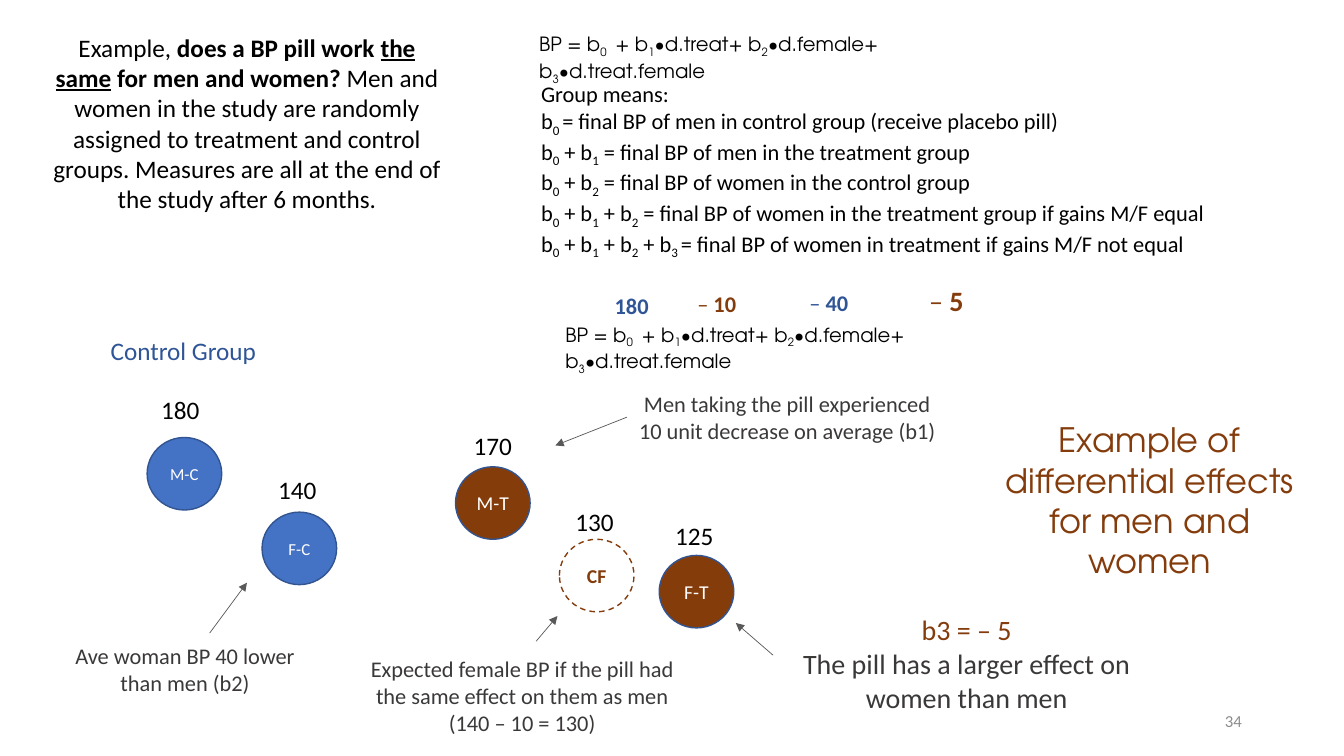
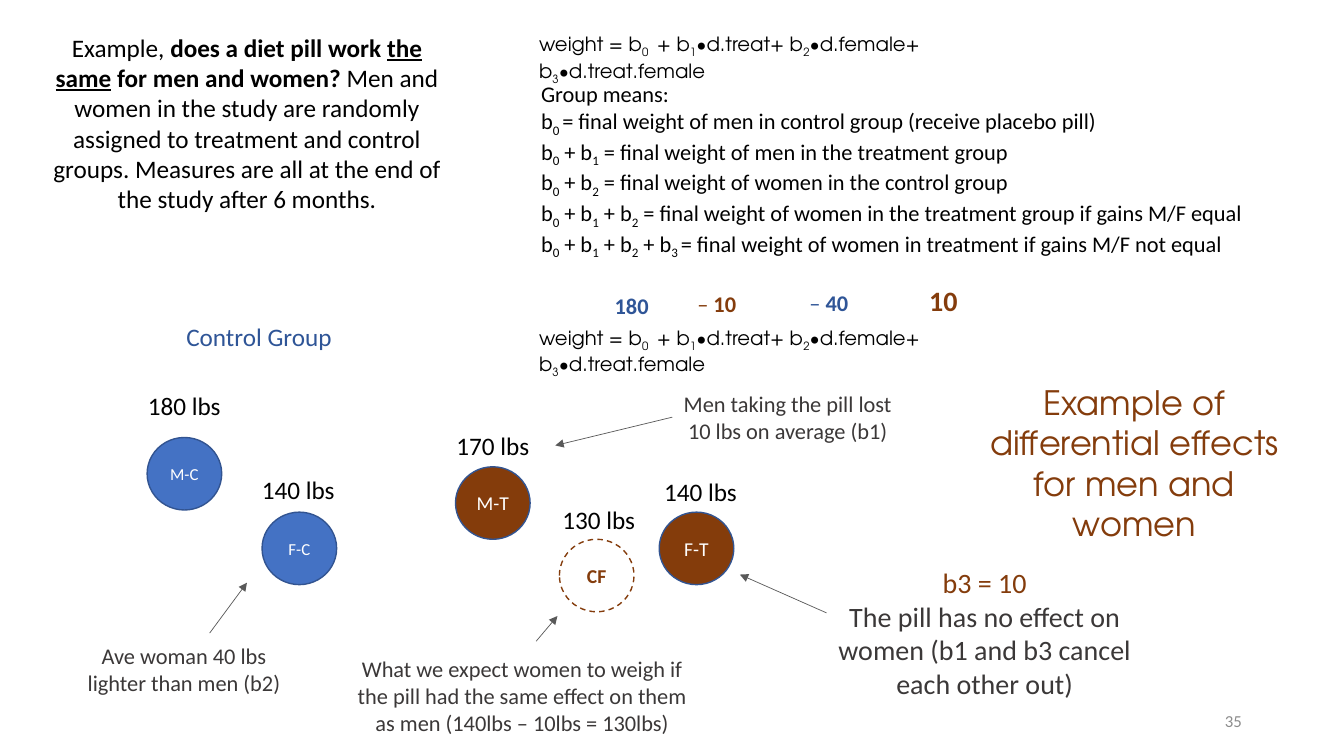
from lxml import etree
from pptx import Presentation
from pptx.dml.color import RGBColor
from pptx.enum.dml import MSO_LINE
from pptx.enum.shapes import MSO_CONNECTOR, MSO_SHAPE
from pptx.enum.text import MSO_ANCHOR, MSO_AUTO_SIZE, PP_ALIGN
from pptx.oxml.ns import qn
from pptx.util import Pt

COLORS = {name: RGBColor.from_string(value) for name, value in {
    "black": "000000", "white": "FFFFFF", "control": "4472C4", "outline": "325491",
    "treated": "843C0B", "brown": "843C0C", "blue": "2F5597", "note": "3B3838",
    "arrow": "595959", "number": "8C8C8C",
}.items()}
BODY, DISPLAY = "Calibri", "TeX Gyre Adventor"
LEFT, CENTER, RIGHT = PP_ALIGN.LEFT, PP_ALIGN.CENTER, PP_ALIGN.RIGHT
CIRCLE_WIDTH, CIRCLE_HEIGHT = 53.3, 51.8


def write(frame, lines, size, color, align=LEFT, font=BODY):
    """Fill a frame; | splits runs, ~ lowers, * bolds, _ bolds and underlines, / breaks."""
    for index, line in enumerate(lines):
        paragraph = frame.paragraphs[0] if index == 0 else frame.add_paragraph()
        paragraph.alignment = align
        paragraph.font.name = font
        paragraph.font.size = Pt(size)
        paragraph.font.color.rgb = COLORS[color]
        for piece in line.split("|"):
            if piece == "/":
                paragraph.add_line_break()
                continue
            span = paragraph.add_run()
            mark = piece[0] if piece[0] in "~*_" else ""
            span.text = piece[len(mark):]
            if mark == "~":
                span.font._element.set("baseline", "-25000")
            elif mark:
                span.font.bold = True
                span.font.underline = True if mark == "_" else None


def add_text(page, place, lines, size, color, align=LEFT, font=BODY, wrap=False):
    """Add a text box at (left, top, width, height) and return it."""
    box = page.shapes.add_textbox(*map(Pt, place))
    box.text_frame.word_wrap = wrap
    box.text_frame.auto_size = MSO_AUTO_SIZE.SHAPE_TO_FIT_TEXT
    write(box.text_frame, lines, size, color, align, font)
    return box


studies = [
    {
        "number": "34", "pill": "BP", "outcome": "BP", "means width": 496,
        "equation width": 370, "fitted equation": (396.7, 226.8),
        "last coefficient": ("– |*5", 39.6), "value width": 42.5,
        "values": [("180", 108, 277.9), ("140", 191.5, 335.5), ("170", 331.2, 303.8),
                   ("130", 403.9, 357.8), ("125", 475.2, 367.9)],
        "treated women top": 396.7,
        "women note": ((41.8, 455, 180.7, 46), "Ave woman BP 40 lower|/|than men (b2)"),
        "men note": ((447.8, 275, 229, 46),
                     "Men taking the pill experienced|/|10 unit decrease on average (b1)"),
        "expected": "Expected female BP if the pill had the same effect on them as men "
                    "(140 – 10 = 130)",
        "effect arrow": (552.2, 468, 525.6, 445),
        "effect": ((564.5, 434.2, 252, 80),
                   ["b3 = – 5", "The pill has a larger effect on women than men"]),
        "control": (72, 236.2), "headline": (704.9, 295.9),
    },
    {
        "number": "35", "pill": "diet", "outcome": "weight", "means width": 523.4,
        "equation width": 400.3, "fitted equation": (378, 229),
        "last coefficient": ("*10", 35.3), "value width": 67,
        "values": [("180 lbs", 98.6, 275), ("140 lbs", 180, 335.5), ("170 lbs", 319, 303.8),
                   ("130 lbs", 394.6, 356.4), ("140 lbs", 467.3, 337)],
        "treated women top": 365.8,
        "women note": ((54.7, 455, 153.4, 46), "Ave woman 40 lbs|/|lighter than men (b2)"),
        "men note": ((480.2, 275, 164.9, 46),
                     "Men taking the pill lost|/|10 lbs on average (b1)"),
        "expected": "What we expect women to weigh if the pill had the same effect on them "
                    "as men (140lbs – 10lbs = 130lbs)",
        "effect arrow": (590.4, 437.8, 528.5, 410.4),
        "effect": ((577.4, 400.3, 252, 104.4),
                   ["b3 = 10", "The pill has no effect on women (b1 and b3 cancel each other out)"]),
        "control": (126, 226), "headline": (694, 269.3),
    },
]

deck = Presentation()
deck.slide_width, deck.slide_height = Pt(960), Pt(540)

for study in studies:
    page = deck.slides.add_slide(deck.slide_layouts[6])
    outcome = study["outcome"]

    # Question, model and group means
    add_text(page, (27.4, 19.4, 298, 138.2), [
        f"Example, |*does a {study['pill']} pill work |_the same|* for men and women? |"
        "Men and women in the study are randomly assigned to treatment and control groups. "
        "Measures are all at the end of the study after 6 months."
    ], 18, "black", CENTER, wrap=True)
    equation = f"{outcome} = b|~0 | + b|~1|∙d.treat+ b|~2|∙d.female+ b|~3|∙d.treat.female"
    for left, top in [(378, 19.4), study["fitted equation"]]:
        add_text(page, (left, top, study["equation width"], 24.5), [equation],
                 14, "black", font=DISPLAY, wrap=True)
    add_text(page, (379.4, 54, study["means width"], 136.8), [
        "Group means:",
        f"b|~0 |= final {outcome} of men in control group (receive placebo pill)",
        f"b|~0| + b|~1| = final {outcome} of men in the treatment group",
        f"b|~0| + b|~2| = final {outcome} of women in the control group",
        f"b|~0| + b|~1| + b|~2| = final {outcome} of women in the treatment group"
        " if gains M/F equal",
        f"b|~0| + b|~1| + b|~2| + b|~3 |= final {outcome} of women in treatment"
        " if gains M/F not equal",
    ], 16, "black")

    # Coefficients above the fitted equation
    last_text, last_width = study["last coefficient"]
    for text, left, top, width, size, color in [
        ("*180", 432, 205.2, 38.9, 16, "blue"),
        ("– |*10", 491, 203.8, 42.5, 16, "brown"),
        ("– |*40", 571, 203, 42.5, 16, "blue"),
        (last_text, 656.6, 198.7, last_width, 20, "brown"),
    ]:
        add_text(page, (left, top, width, size * 1.2 + 7.4), [text], size, color)

    # Group circles and their values
    for label, left, top, fill, size in [
        ("M-C", 105.1, 312.5, "control", 12),
        ("F-C", 187.2, 365.8, "control", 12),
        ("M-T", 325.4, 333.4, "treated", 14),
        ("*CF", 399.6, 385.2, None, 14),
        ("F-T", 470.9, study["treated women top"], "treated", 14),
    ]:
        circle = page.shapes.add_shape(
            MSO_SHAPE.OVAL, Pt(left), Pt(top), Pt(CIRCLE_WIDTH), Pt(CIRCLE_HEIGHT))
        circle.shadow.inherit = False
        circle.line.width = Pt(1)
        if fill:
            circle.fill.solid()
            circle.fill.fore_color.rgb = COLORS[fill]
            circle.line.color.rgb = COLORS["outline"]
        else:
            circle.fill.background()
            circle.line.color.rgb = COLORS["brown"]
            circle.line.dash_style = MSO_LINE.DASH
        circle.text_frame.vertical_anchor = MSO_ANCHOR.MIDDLE
        write(circle.text_frame, [label], size, "white" if fill else "brown", CENTER)
    for value, left, top in study["values"]:
        add_text(page, (left, top, study["value width"], 29), [value], 18, "black")

    # Notes and arrows
    for key in ("women note", "men note"):
        place, note = study[key]
        add_text(page, place, [note], 16, "note", CENTER)
    add_text(page, (247, 464.4, 252, 65.5), [study["expected"]], 16, "note", CENTER, wrap=True)
    place, lines = study["effect"]
    effect = add_text(page, place, lines, 20, "note", CENTER, wrap=True)
    effect.text_frame.paragraphs[0].font.color.rgb = COLORS["brown"]
    men_note_left = study["men note"][0][0]
    for ends in [
        (149.8, 452.2, 176.4, 416.2),
        (men_note_left, 298, 396.7, 318.2),
        (383, 458, 398.2, 440),
        study["effect arrow"],
    ]:
        arrow = page.shapes.add_connector(MSO_CONNECTOR.STRAIGHT, *map(Pt, ends))
        arrow.line.color.rgb = COLORS["arrow"]
        arrow.line.width = Pt(0.5)
        properties = arrow._element.spPr
        etree.SubElement(properties.find(qn("a:ln")), qn("a:tailEnd"), type="triangle")
        etree.SubElement(properties, qn("a:effectLst"))

    # Headings and slide number
    add_text(page, (*study["control"], 119.5, 29), ["Control Group"], 18, "blue")
    add_text(page, (*study["headline"], 232.6, 123.8),
             ["Example of differential effects for men and women"],
             24, "brown", CENTER, DISPLAY, wrap=True)
    number = add_text(page, (678.2, 500.4, 216, 28.8), [study["number"]],
                      12, "number", RIGHT, wrap=True)
    number.text_frame.auto_size = MSO_AUTO_SIZE.NONE
    number.text_frame.vertical_anchor = MSO_ANCHOR.MIDDLE

deck.save("out.pptx")
